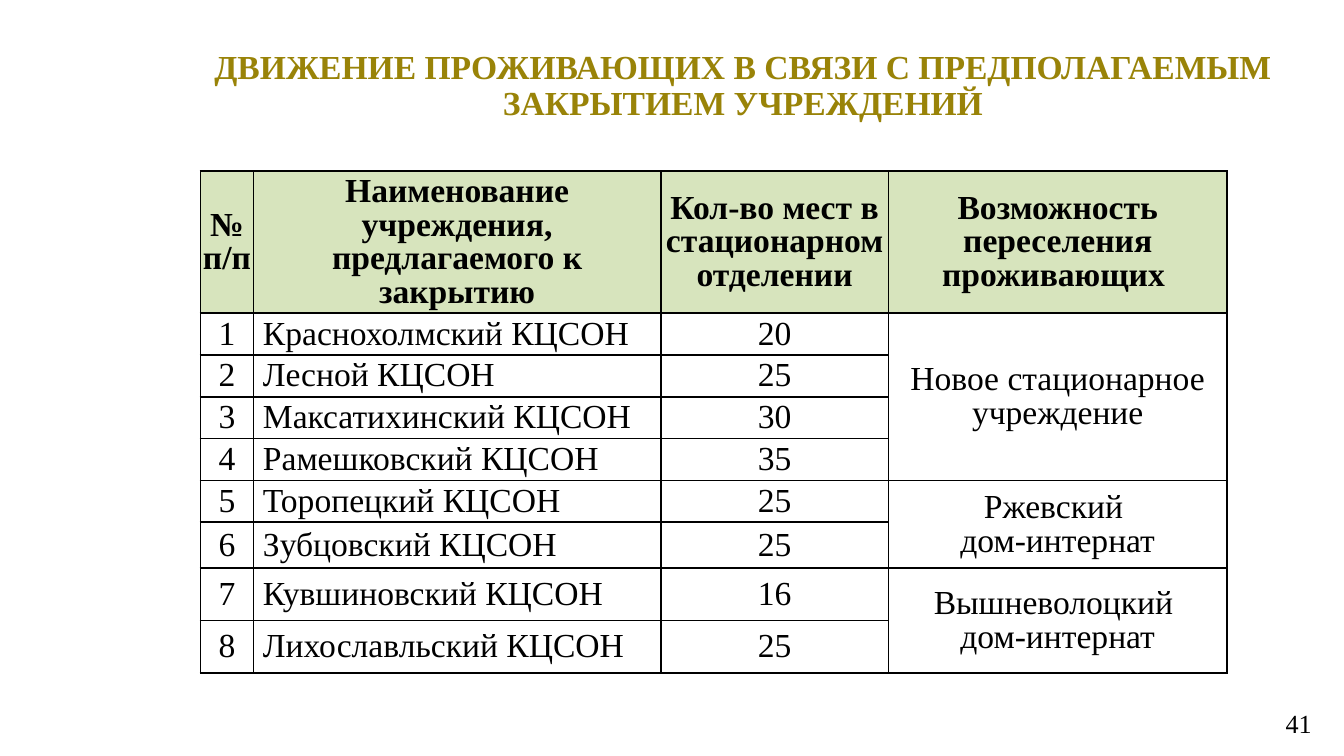
"""Build the slide on moving residents out of institutions due to close."""
import pptx
import pptx.dml.color
import pptx.enum.text
import pptx.oxml
import pptx.oxml.ns
import pptx.util
from pptx.util import Cm, Pt

FONT = "Times New Roman"
TITLE = "ДВИЖЕНИЕ ПРОЖИВАЮЩИХ В СВЯЗИ С ПРЕДПОЛАГАЕМЫМ ЗАКРЫТИЕМ УЧРЕЖДЕНИЙ"
PAGE_NUMBER = "41"
HEADERS = [
    "№ п/п",
    "Наименование учреждения, предлагаемого к закрытию",
    "Кол-во мест в стационарном отделении",
    "Возможность переселения проживающих ",
]
DESTINATIONS = [
    ("Новое стационарное учреждение", [
        ("Краснохолмский КЦСОН", 20),
        ("Лесной КЦСОН", 25),
        ("Максатихинский КЦСОН", 30),
        ("Рамешковский КЦСОН", 35),
    ]),
    ("Ржевский \vдом-интернат", [
        ("Торопецкий КЦСОН", 25),
        ("Зубцовский КЦСОН", 25),
    ]),
    ("Вышневолоцкий \vдом-интернат", [
        ("Кувшиновский КЦСОН", 16),
        ("Лихославльский КЦСОН", 25),
    ]),
]
COLUMN_WIDTHS = [1, 7.7, 4.3, 6.4]
ROW_HEIGHTS = [2.69] + [0.79] * 5 + [0.87, 0.99, 0.99]
BLACK, GOLD, GREEN = "000000", "998308", "D7E4BD"
CENTER = pptx.enum.text.PP_ALIGN.CENTER
LEFT = pptx.enum.text.PP_ALIGN.LEFT
RIGHT = pptx.enum.text.PP_ALIGN.RIGHT
MIDDLE = pptx.enum.text.MSO_ANCHOR.MIDDLE


def color(value):
    return pptx.dml.color.RGBColor.from_string(value)


def write(text_frame, text, align, size=18, bold=False, ink=BLACK, spacing=None):
    text_frame.text = text
    text_frame.word_wrap = True
    paragraph = text_frame.paragraphs[0]
    paragraph.alignment = align
    if spacing:
        paragraph.line_spacing = Pt(spacing)
    for run in paragraph.runs:
        run.font.name = FONT
        run.font.size = Pt(size)
        run.font.bold = bold
        run.font.color.rgb = color(ink)


def add_text(slide, box, text, align, **style):
    shape = slide.shapes.add_textbox(*map(Cm, box))
    shape.text_frame.vertical_anchor = MIDDLE
    write(shape.text_frame, text, align, **style)


def add_borders(cell):
    properties = cell._tc.get_or_add_tcPr()
    for side in "LRTB":
        properties.append(pptx.oxml.parse_xml(
            f'<a:ln{side} {pptx.oxml.ns.nsdecls("a")} w="{Pt(1)}"><a:solidFill>'
            f'<a:srgbClr val="{BLACK}"/></a:solidFill></a:ln{side}>'))


def fill_cell(cell, text, align=CENTER, header=False):
    write(cell.text_frame, text, align, bold=header, spacing=18)
    cell.vertical_anchor = MIDDLE
    cell.margin_left = cell.margin_right = Cm(0 if header else 0.18)
    cell.margin_top, cell.margin_bottom = Cm(0.1), Cm(0.05)


def add_institutions(slide):
    shape = slide.shapes.add_table(
        len(ROW_HEIGHTS), len(COLUMN_WIDTHS), Cm(3.79), Cm(3.23),
        Cm(sum(COLUMN_WIDTHS)), Cm(sum(ROW_HEIGHTS)))
    table = shape.table
    table.first_row = table.horz_banding = False
    for column, width in zip(table.columns, COLUMN_WIDTHS):
        column.width = Cm(width)
    for row, height in zip(table.rows, ROW_HEIGHTS):
        row.height = Cm(height)
    for cell in table.iter_cells():
        add_borders(cell)
        cell.fill.background()
    for index, header in enumerate(HEADERS):
        cell = table.cell(0, index)
        fill_cell(cell, header, header=True)
        cell.fill.solid()
        cell.fill.fore_color.rgb = color(GREEN)
    number = 1
    for destination, institutions in DESTINATIONS:
        first = table.cell(number, 3)
        first.merge(table.cell(number + len(institutions) - 1, 3))
        fill_cell(first, destination)
        for name, places in institutions:
            fill_cell(table.cell(number, 0), str(number))
            fill_cell(table.cell(number, 1), name, LEFT)
            fill_cell(table.cell(number, 2), str(places))
            number += 1


def main():
    presentation = pptx.Presentation()
    presentation.slide_width, presentation.slide_height = Cm(25.4), Cm(14.29)
    slide = presentation.slides.add_slide(presentation.slide_layouts[6])
    add_text(slide, (2.69, 0.61, 22.71, 2.06), TITLE, CENTER,
             bold=True, ink=GOLD, spacing=19)
    add_text(slide, (16.89, 13.16, 8.15, 1.02), PAGE_NUMBER, RIGHT, size=14)
    add_institutions(slide)
    presentation.save("out.pptx")


if __name__ == "__main__":
    main()
